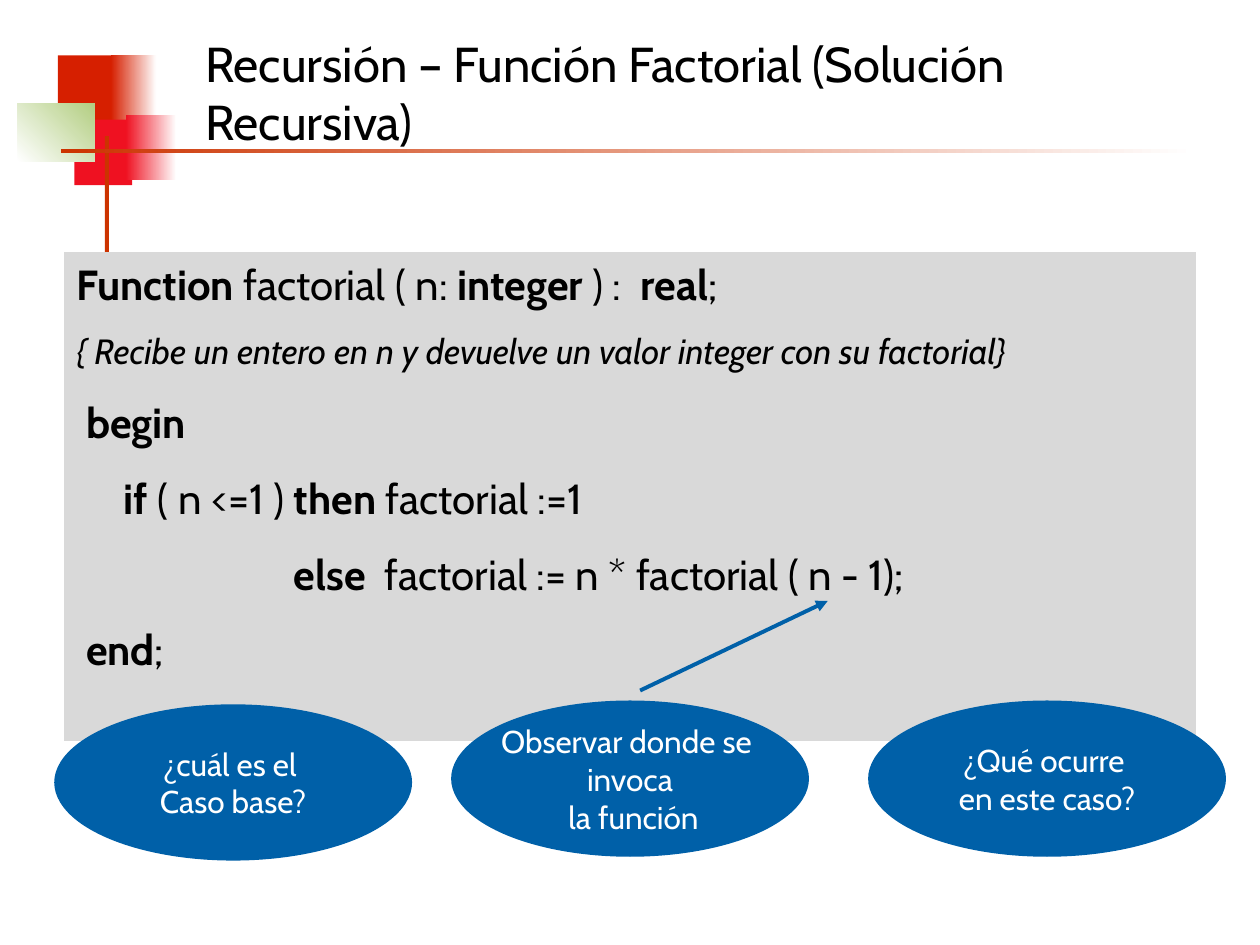
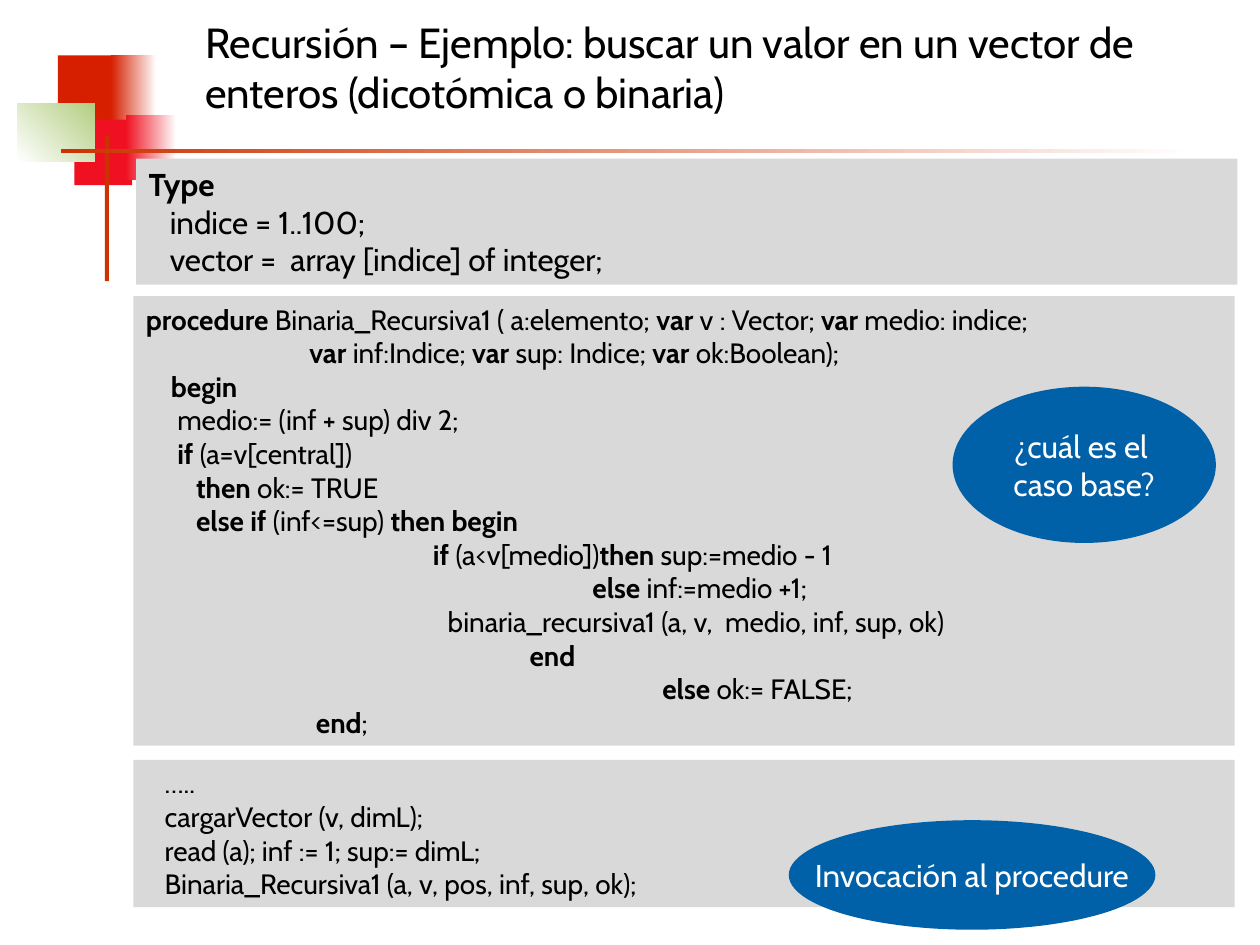
"""Build two slides on recursion: the factorial function and binary search."""
from lxml import etree
from pptx import Presentation
from pptx import util as u
from pptx.dml.color import RGBColor
from pptx.enum import shapes, text
from pptx.oxml import ns

Pt = u.Pt
FONT = "Cabin"
COLORS = {
    "text": "000000",
    "white": "FFFFFF",
    "panel": "D9D9D9",
    "callout": "0060A8",
    "red": "D61F00",
    "crimson": "EF1121",
    "green": "B3CE82",
    "rule": "CC3300",
}
EMBLEM = [
    ((33.1, 31.7, 34.6, 37.4), ("red",), 0),
    ((63.4, 31.7, 25.9, 37.4), ("red", "white"), 0),
    ((42.5, 68.4, 33.1, 37.4), ("crimson",), 0),
    ((72, 65.5, 28.8, 37.4), ("crimson", "white"), 0),
    ((10, 59, 43.9, 33.1), ("white", "green"), 45),
    ((59.9, 77.8, 2.3, 82.8), ("rule",), 0),
    ((34.9, 85, 648, 2.3), ("rule", "white"), 0),
]
CALLOUT_HEIGHT = 89.3

FACTORIAL = [
    "|Function |factorial ( n: |integer |) : | real|;",
    "{ Recibe un entero en n y devuelve un valor integer con su factorial}",
    "| begin",
    "|if |( n <=1 ) |then |factorial :=1",
    "|                       else  |factorial := n * factorial ( n - 1);",
    "| end|;",
]
TYPES = [
    "|Type",
    "   indice = 1..100;",
    "   vector =  array [indice] of integer;",
]
BINARY_SEARCH = [
    "|procedure |Binaria_Recursiva1 ( a:elemento; |var| v : Vector; |var| medio: indice;",
    "                          |var |inf:Indice; |var |sup: Indice; |var |ok:Boolean);",
    "|    begin",
    "     medio:= (inf + sup) div 2;",
    "     |if |(a=v[central])",
    "        |then |ok:= TRUE",
    "        |else if |(inf<=sup) |then begin",
    "|                             if |(a<v[medio])|then |sup:=medio - 1",
    "                                              |else |inf:=medio +1;",
    "                       binaria_recursiva1 (a, v,  medio, inf, sup, ok)",
    "                                    |end",
    "       |else |ok:= FALSE;",
    "|  end|;",
]
BINARY_INDENTS = {7: 60, 8: 90, 9: 90, 10: 90, 11: 270, 12: 90}
INVOCATION = [
    "   …..",
    "   cargarVector (v, dimL);",
    "   read (a); inf := 1; sup:= dimL;",
    "   Binaria_Recursiva1 (a, v, pos, inf, sup, ok);",
]


class Deck:
    """Hold the shared style and the current slide."""

    def __init__(self):
        """Start an empty 10 by 7.5 inch presentation."""
        self.presentation = Presentation()
        self.presentation.slide_width = Pt(720)
        self.presentation.slide_height = Pt(540)
        self.slide = None

    def color(self, name):
        """Return the named colour."""
        return RGBColor.from_string(COLORS[name])

    def add_slide(self, title, top, size):
        """Add a slide with its emblem and title."""
        self.slide = self.presentation.slides.add_slide(self.presentation.slide_layouts[6])
        for box, fills, angle in EMBLEM:
            self.shape(box, fills, angle=angle)
        shape = self.slide.shapes.add_textbox(Pt(110.2), Pt(top), Pt(572.4), Pt(60.5))
        self.frame(shape, text.MSO_ANCHOR.MIDDLE)
        shape.text_frame.text = title
        self.style(shape.text_frame.paragraphs[0], size)

    def shape(self, box, fills, kind=shapes.MSO_SHAPE.RECTANGLE, angle=0):
        """Add a borderless shape with a plain fill or a two-colour gradient."""
        shape = self.slide.shapes.add_shape(kind, *map(Pt, box))
        shape.shadow.inherit = False
        shape.line.fill.background()
        if len(fills) == 1:
            shape.fill.solid()
            shape.fill.fore_color.rgb = self.color(fills[0])
        else:
            shape.fill.gradient()
            shape.fill.gradient_angle = angle
            for position, (stop, name) in enumerate(zip(shape.fill.gradient_stops, fills)):
                stop.position = position
                stop.color.rgb = self.color(name)
        return shape

    def frame(self, shape, anchor, wrap=True):
        """Set how text sits inside a shape."""
        frame = shape.text_frame
        frame.auto_size = text.MSO_AUTO_SIZE.NONE
        frame.word_wrap = wrap
        frame.vertical_anchor = anchor
        return frame

    def style(self, paragraph, size, color="text", align=text.PP_ALIGN.LEFT):
        """Format a paragraph and its runs."""
        paragraph.alignment = align
        for run in paragraph.runs:
            run.font.name = FONT
            run.font.size = Pt(size)
            run.font.color.rgb = self.color(color)

    def code(self, box, lines, size, indents, spacing=0):
        """Add a code panel where bars switch bold on and off and braces open a comment."""
        frame = self.frame(self.shape(box, ("panel",)), text.MSO_ANCHOR.TOP)
        for row, line in enumerate(lines):
            paragraph = frame.add_paragraph() if row else frame.paragraphs[0]
            comment = line.startswith("{")
            line_size = size - 4 if comment else size
            if row in indents:
                paragraph._p.get_or_add_pPr().set("marL", str(Pt(indents[row])))
            for index, part in enumerate(line.split("|")):
                if part:
                    run = paragraph.add_run()
                    run.text = part
                    run.font.bold = index % 2 == 1
                    run.font.italic = comment
            if row and spacing:
                paragraph.space_before = Pt(spacing * line_size)
            self.style(paragraph, line_size)

    def callout(self, box, words):
        """Add a blue ellipse with centred white text."""
        shape = self.shape(box, ("callout",), shapes.MSO_SHAPE.OVAL)
        frame = self.frame(shape, text.MSO_ANCHOR.MIDDLE, wrap=False)
        frame.text = words
        for paragraph in frame.paragraphs:
            self.style(paragraph, 18, "white", text.PP_ALIGN.CENTER)

    def arrow(self, *ends):
        """Add a straight arrow."""
        connector = self.slide.shapes.add_connector(shapes.MSO_CONNECTOR.STRAIGHT, *map(Pt, ends))
        connector.line.color.rgb = self.color("callout")
        connector.line.width = Pt(2.25)
        etree.SubElement(connector.line._get_or_add_ln(), ns.qn("a:tailEnd"), type="triangle")
        etree.SubElement(connector._element.spPr, ns.qn("a:effectLst"))


def factorial_slide(deck):
    """Show the recursive factorial function."""
    deck.add_slide("Recursión – Función Factorial (Solución Recursiva)", 22.3, 28)
    deck.code((36.7, 144, 646.6, 279.4), FACTORIAL, 24, {3: 27}, spacing=0.6)
    deck.arrow(365.8, 394.6, 473, 343.4)
    for left, top, words in [
        (257.8, 400.3, "Observar donde se \ninvoca\n la función"),
        (496.1, 400.3, "¿Qué ocurre \nen este caso?"),
        (31, 402.5, "¿cuál es el \nCaso base?"),
    ]:
        deck.callout((left, top, 204.5, CALLOUT_HEIGHT), words)


def binary_search_slide(deck):
    """Show the recursive binary search."""
    deck.add_slide(
        "Recursión – Ejemplo: buscar un valor en un vector de enteros (dicotómica o binaria)", 7.9, 24)
    for left, top, height, lines, size, indents in [
        (76.3, 169.2, 257, BINARY_SEARCH, 16, BINARY_INDENTS),
        (77.8, 90.7, 72, TYPES, 18, {}),
        (76.3, 434.2, 84.2, INVOCATION, 16, {}),
    ]:
        deck.code((left, top, 629.3, height), lines, size, indents)
    deck.callout((544.3, 221, 150.5, CALLOUT_HEIGHT), "¿cuál es el \ncaso base?")
    deck.callout((450.7, 468.7, 209.5, 62.6), "Invocación al procedure")


def main():
    """Build and save the presentation."""
    deck = Deck()
    factorial_slide(deck)
    binary_search_slide(deck)
    deck.presentation.save("out.pptx")


if __name__ == "__main__":
    main()
